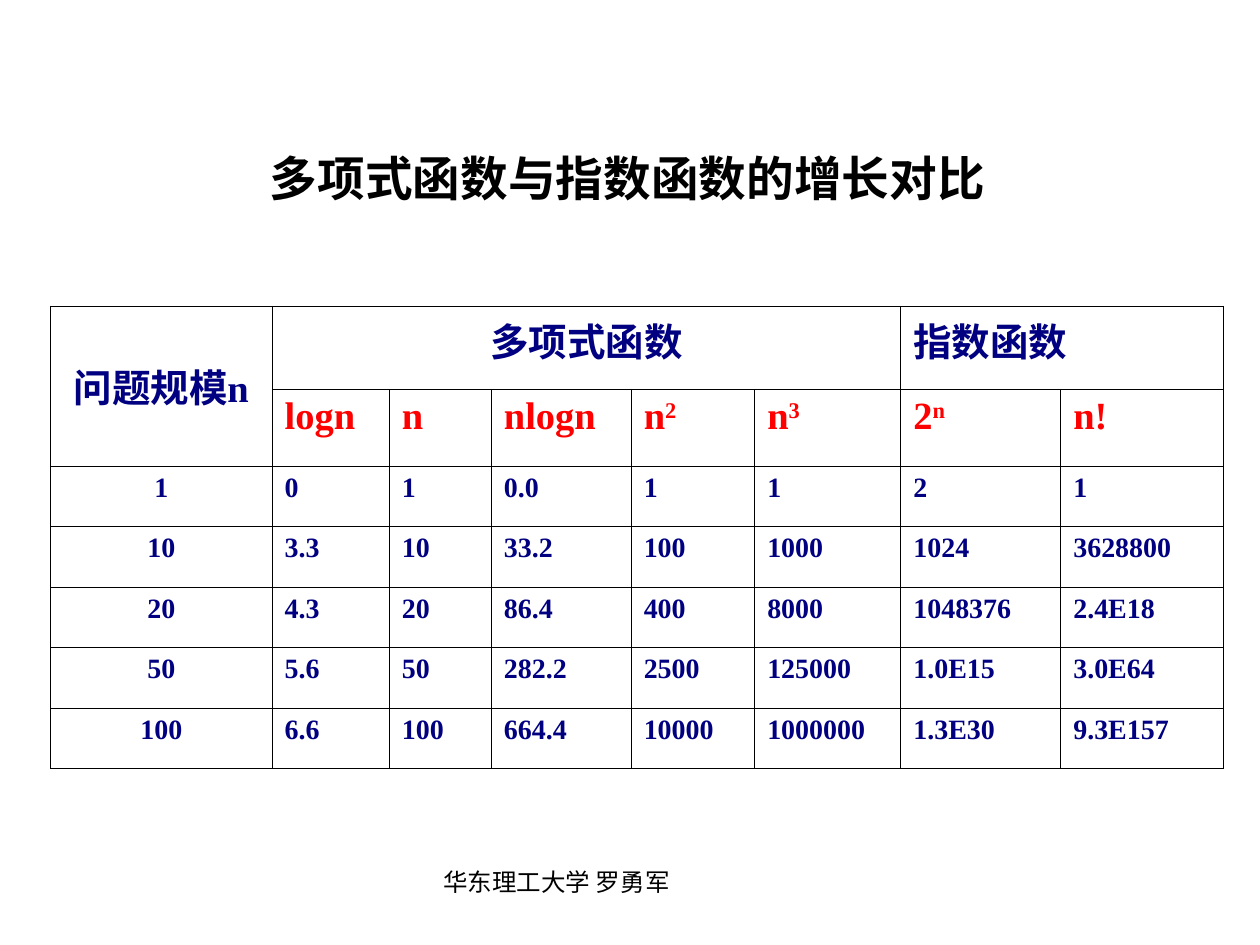
from lxml import etree
from pptx import Presentation
from pptx import util as u
from pptx.dml.color import RGBColor
from pptx.enum import text
from pptx.oxml import ns

COLORS = {"black": "000000", "navy": "000080", "red": "FF0000"}
LATIN, HAN = "Times New Roman", "Noto Sans CJK SC"
COLS = [1.76, 0.93, 0.81, 1.11, 0.98, 1.16, 1.27, 1.29]
ROWS = [0.66, 0.61] + [0.48] * 5
SPANS = [(0, 0, 1, 0), (0, 1, 0, 5), (0, 6, 0, 7)]
DATA = [
    ["问题规模|n", "多项式函数", "", "", "", "", "指数函数", ""],
    ["", "logn", "n", "nlogn", "n^2", "n^3", "2^n", "n!"],
    ["1", "0", "1", "0.0", "1", "1", "2", "1"],
    ["10", "3.3", "10", "33.2", "100", "1000", "1024", "3628800"],
    ["20", "4.3", "20", "86.4", "400", "8000", "1048376", "2.4E18"],
    ["50", "5.6", "50", "282.2", "2500", "125000", "1.0E15", "3.0E64"],
    ["100", "6.6", "100", "664.4", "10000", "1000000", "1.3E30", "9.3E157"],
]


def style(run, size, color, bold=True, latin=LATIN):
    font = run.font
    font.size, font.bold, font.name = u.Pt(size), bold, latin
    font.color.rgb = RGBColor.from_string(COLORS[color])
    etree.SubElement(run._r.get_or_add_rPr(), ns.qn("a:ea"), typeface=HAN)


def write(para, words, size, color):
    """Write runs: '|' starts a new run, '^' starts a superscript."""
    for part in words.split("|"):
        for i, piece in enumerate(part.split("^")):
            run = para.add_run()
            run.text = piece
            style(run, size, color, latin=LATIN if piece.isascii() else HAN)
            if i:
                run._r.get_or_add_rPr().set("baseline", "30000")


def border(cell, width=0.45):
    props = cell._tc.get_or_add_tcPr()
    for i, side in enumerate(("lnL", "lnR", "lnT", "lnB")):
        line = etree.Element(ns.qn("a:" + side), w=str(u.Pt(width)))
        fill = etree.SubElement(line, ns.qn("a:solidFill"))
        etree.SubElement(fill, ns.qn("a:srgbClr"), val=COLORS["black"])
        props.insert(i, line)


def add_title(slide, words):
    title = slide.shapes.title
    title.left, title.top = u.Inches(0.52), u.Inches(1.11)
    title.width, title.height = u.Inches(8.92), u.Inches(0.59)
    frame = title.text_frame
    frame.text = words
    frame.vertical_anchor = text.MSO_ANCHOR.MIDDLE
    para = frame.paragraphs[0]
    para.alignment = text.PP_ALIGN.CENTER
    style(para.runs[0], 27.2, "black", latin="Arial")


def add_grid(slide):
    table = slide.shapes.add_table(
        len(ROWS), len(COLS), u.Inches(0.4), u.Inches(2.43),
        u.Inches(sum(COLS)), u.Inches(sum(ROWS))).table
    table.first_row = table.horz_banding = False
    for col, width in zip(table.columns, COLS):
        col.width = u.Inches(width)
    for row, height in zip(table.rows, ROWS):
        row.height = u.Inches(height)
    for top, left, low, right in SPANS:
        table.cell(top, left).merge(table.cell(low, right))
    for r, row in enumerate(DATA):
        for c, words in enumerate(row):
            cell = table.cell(r, c)
            cell.fill.background()
            border(cell)
            if not words:
                continue
            para = cell.text_frame.paragraphs[0]
            if c == 0 or (r, c) == (0, 1):
                para.alignment = text.PP_ALIGN.CENTER
            write(para, words, 22 if r < 2 else 16, "red" if r == 1 else "navy")
    table.cell(0, 0).vertical_anchor = text.MSO_ANCHOR.MIDDLE


def add_credit(slide, words):
    box = slide.shapes.add_textbox(
        u.Inches(3.42), u.Inches(6.83), u.Inches(3.17), u.Inches(0.5))
    frame = box.text_frame
    frame.word_wrap = True
    frame.text = words
    style(frame.paragraphs[0].runs[0], 14, "black", bold=False)


def main():
    deck = Presentation()
    deck.slide_width, deck.slide_height = u.Inches(10), u.Inches(7.5)
    slide = deck.slides.add_slide(deck.slide_layouts[5])
    add_title(slide, "多项式函数与指数函数的增长对比")
    add_grid(slide)
    add_credit(slide, "华东理工大学 罗勇军")
    deck.save("out.pptx")


if __name__ == "__main__":
    main()
